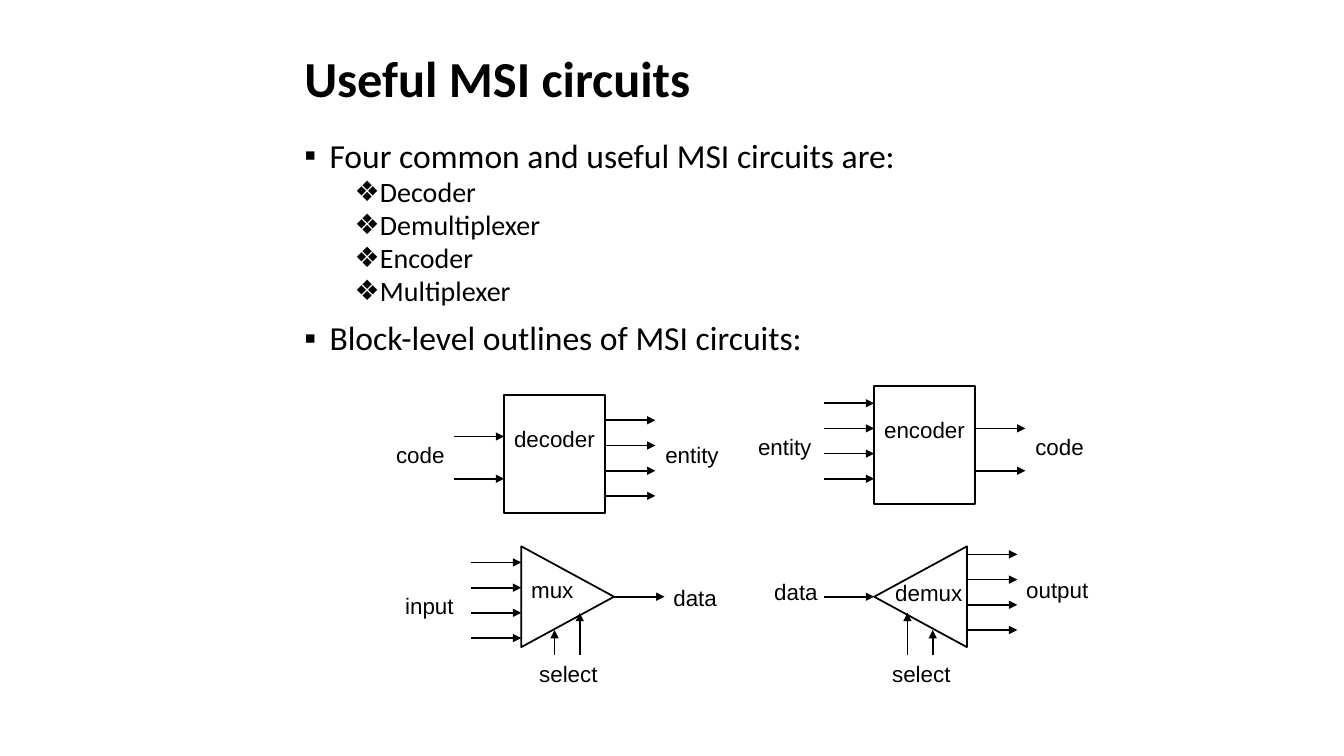
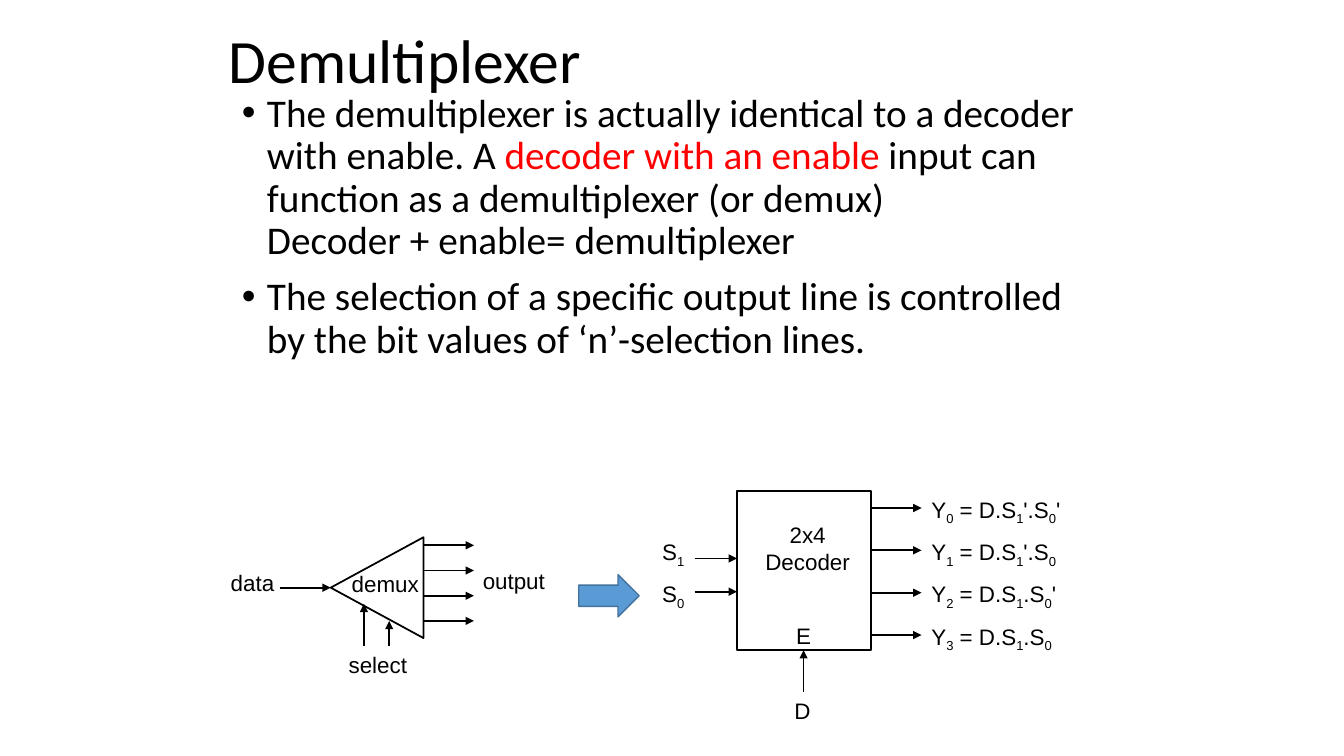
from dataclasses import dataclass
from typing import NamedTuple

from lxml import etree
from pptx import Presentation
from pptx.dml.color import RGBColor
from pptx.enum.shapes import MSO_CONNECTOR, MSO_SHAPE as Shape
from pptx.enum.text import MSO_ANCHOR as Anchor, PP_ALIGN as Align
from pptx.oxml.ns import qn
from pptx.util import Inches, Pt

# Shared look
BLACK = RGBColor(0x00, 0x00, 0x00)
RED = RGBColor(0xFF, 0x00, 0x00)
BLUE = RGBColor(0x5B, 0x9B, 0xD5)
DARK_BLUE = RGBColor(0x42, 0x71, 0x9B)
LABEL_FONT = {"name": "Arial", "size": Pt(16)}
BODY_FONT = "Calibri"
LEAD = 0.5
STEP = 0.25


class Label(NamedTuple):
    text: str  # "_" lowers the next character
    x: float
    y: float
    width: float = 0.75
    align: Align = Align.LEFT


class Bullet(NamedTuple):
    runs: list
    size: int
    mark: str
    indent: float = 0.25
    before: int = 0


@dataclass
class Circuit:
    """Lengths are measured from the top left corner of the outline."""
    width: float
    height: float
    inputs: list
    outputs: list
    labels: list
    controls: tuple = ()  # (x, start y, tip y) of arrows from below
    rotation: int = 0  # a turned outline is a triangle
    input_lead: float = LEAD


def evenly(start, count, step=STEP):
    return [start + i * step for i in range(count)]


# Text
def add_text(slide, left, top, width, height, anchor=Anchor.TOP):
    frame = slide.shapes.add_textbox(
        Inches(left), Inches(top), Inches(width), Inches(height)).text_frame
    for key, value in {"word_wrap": True, "vertical_anchor": anchor}.items():
        setattr(frame, key, value)
    return frame


def add_run(paragraph, text, font, color=BLACK):
    run = paragraph.add_run()
    run.text = text
    for key, value in font.items():
        setattr(run.font, key, value)
    run.font.color.rgb = color
    return run


def add_title(slide, box, text, size, bold=False):
    paragraph = add_text(slide, *box, Anchor.MIDDLE).paragraphs[0]
    paragraph.line_spacing = 0.9
    add_run(paragraph, text, {"name": BODY_FONT, "size": Pt(size), "bold": bold})


def add_bullets(slide, box, bullets):
    frame = add_text(slide, *box)
    for i, bullet in enumerate(bullets):
        paragraph = frame.add_paragraph() if i else frame.paragraphs[0]
        for key, value in {"line_spacing": 0.9, "space_before": Pt(bullet.before)}.items():
            setattr(paragraph, key, value)
        properties = paragraph._p.get_or_add_pPr()
        properties.set("marL", str(Inches(bullet.indent)))
        properties.set("indent", str(-Inches(0.25)))
        etree.SubElement(properties, qn("a:buFont")).set("typeface", "Arial")
        etree.SubElement(properties, qn("a:buChar")).set("char", bullet.mark)
        for text, color in bullet.runs:
            for n, line in enumerate(text.split("\n")):
                if n:
                    paragraph.add_line_break()
                add_run(paragraph, line, {"name": BODY_FONT, "size": Pt(bullet.size)}, color)


def add_label(slide, left, top, label):
    frame = add_text(slide, left + label.x, top + label.y, label.width, 0.37)
    paragraph = frame.paragraphs[0]
    paragraph.alignment = label.align
    first, *rest = label.text.split("_")
    add_run(paragraph, first, LABEL_FONT)
    for part in rest:
        subscript = add_run(paragraph, part[0], LABEL_FONT)
        subscript.font._element.set("baseline", "-25000")
        if part[1:]:
            add_run(paragraph, part[1:], LABEL_FONT)


# Lines and outlines
def add_arrow(slide, *ends):
    arrow = slide.shapes.add_connector(MSO_CONNECTOR.STRAIGHT, *map(Inches, ends))
    arrow.line.width = Pt(1.25)
    arrow.line.color.rgb = BLACK
    etree.SubElement(arrow.line._get_or_add_ln(), qn("a:tailEnd")).set("type", "triangle")
    etree.SubElement(arrow._element.spPr, qn("a:effectLst"))


def add_outline(slide, kind, box, line, weight, fill=None):
    outline = slide.shapes.add_shape(kind, *map(Inches, box))
    outline.shadow.inherit = False
    outline.line.color.rgb = line
    outline.line.width = Pt(weight)
    if fill is None:
        outline.fill.background()
    else:
        outline.fill.solid()
        outline.fill.fore_color.rgb = fill
    return outline


def add_circuit(slide, left, top, circuit):
    width, height = circuit.width, circuit.height
    if circuit.rotation:
        # The box before turning has its sides swapped about the same centre
        shift = (width - height) / 2
        box = (left + shift, top - shift, height, width)
        outline = add_outline(slide, Shape.ISOSCELES_TRIANGLE, box, BLACK, 1.25)
        outline.rotation = circuit.rotation
    else:
        add_outline(slide, Shape.RECTANGLE, (left, top, width, height), BLACK, 1.5)
    right = left + width
    for y in circuit.inputs:
        add_arrow(slide, left - circuit.input_lead, top + y, left, top + y)
    for y in circuit.outputs:
        add_arrow(slide, right, top + y, right + LEAD, top + y)
    for x, start, tip in circuit.controls:
        add_arrow(slide, left + x, top + start, left + x, top + tip)
    for label in circuit.labels:
        add_label(slide, left, top, label)


# Circuits
DECODER = Circuit(
    1, 1.17, [0.41, 0.83], evenly(0.25, 4),
    [Label("decoder", 0, 0.25, 1.08), Label("code", -1.17, 0.41), Label("entity", 1.5, 0.41)])
ENCODER = Circuit(
    1, 1.17, evenly(0.17, 4), [0.42, 0.84],
    [Label("encoder", 0, 0.25, 1.08), Label("entity", -1.25, 0.42), Label("code", 1.5, 0.42)])
SELECT = Label("select", 0.08, 1.08, 0.83)
MUX = Circuit(
    0.92, 1, evenly(0.16, 4), [0.5],
    [Label("mux", 0, 0.25), Label("input", -1.25, 0.41), Label("data", 1.41, 0.33), SELECT],
    controls=((0.33, 1.08, 0.83), (0.58, 1.08, 0.66)), rotation=90)
DEMUX = Circuit(
    0.92, 1, [0.5], evenly(0.08, 4),
    [Label("demux", 0.11, 0.28, 0.92), Label("data", -1.09, 0.27),
     Label("output", 1.41, 0.25, 0.83), SELECT],
    controls=((0.33, 1.08, 0.66), (0.58, 1.08, 0.83)), rotation=270)
PRODUCTS = ["Y_0 = D.S_1'.S_0'", "Y_1 = D.S_1'.S_0", "Y_2 = D.S_1.S_0'", "Y_3 = D.S_1.S_0"]
ENABLED_DECODER = Circuit(
    1.33, 1.58, [0.67, 1], evenly(0.17, 4, 0.42),
    [Label("2x4 Decoder", 0.16, 0.25, 1.08, Align.CENTER),
     Label("E", 0.45, 1.25, 0.42, Align.CENTER), Label("D", 0.47, 2, 0.42),
     Label("S_1", -0.84, 0.42, 0.5), Label("S_0", -0.84, 0.84, 0.5),
     *(Label(text, 1.83, y, 1.83) for text, y in zip(PRODUCTS, evenly(0, 4, 0.42)))],
    controls=((0.66, 2, 1.58),), input_lead=0.42)


# Slides
def build_overview(slide):
    add_title(slide, (2.92, 0.18, 8.5, 1.25), "Useful MSI circuits", 36, bold=True)
    kinds = ["Decoder", "Demultiplexer", "Encoder", "Multiplexer"]
    add_bullets(slide, (2.92, 1.33, 8.17, 2.58), [
        Bullet([("Four common and useful MSI circuits are:", BLACK)], 24, "▪"),
        *(Bullet([(kind, BLACK)], 20, "❖", 0.75, 2) for kind in kinds),
        Bullet([("Block-level outlines of MSI circuits:", BLACK)], 24, "▪", before=10)])
    for left, top, circuit in [(5, 3.92, DECODER), (8.67, 3.83, ENCODER),
                               (5.17, 5.42, MUX), (8.67, 5.42, DEMUX)]:
        add_circuit(slide, left, top, circuit)


def build_demultiplexer(slide):
    add_title(slide, (2.17, 0.17, 8.5, 0.92), "Demultiplexer", 44)
    add_bullets(slide, (2.3, 0.88, 8.5, 4.5), [
        Bullet([("The demultiplexer is actually identical to a decoder with enable. A ", BLACK),
                ("decoder with an enable", RED),
                (" input can function as a demultiplexer (or demux)\n"
                 "Decoder + enable= demultiplexer", BLACK)], 28, "•"),
        Bullet([("The selection of a specific output line is controlled by the bit values "
                 "of ‘n’-selection lines.", BLACK)], 28, "•", before=10)])
    add_circuit(slide, 3.28, 5.33, DEMUX)
    add_outline(slide, Shape.RIGHT_ARROW, (5.74, 5.7, 0.6, 0.42), DARK_BLUE, 1, BLUE)
    add_circuit(slide, 7.31, 4.87, ENABLED_DECODER)


def main():
    deck = Presentation()
    for key, value in {"slide_width": 13.33, "slide_height": 7.5}.items():
        setattr(deck, key, Inches(value))
    for build in (build_overview, build_demultiplexer):
        build(deck.slides.add_slide(deck.slide_layouts[6]))
    deck.save("out.pptx")


if __name__ == "__main__":
    main()
